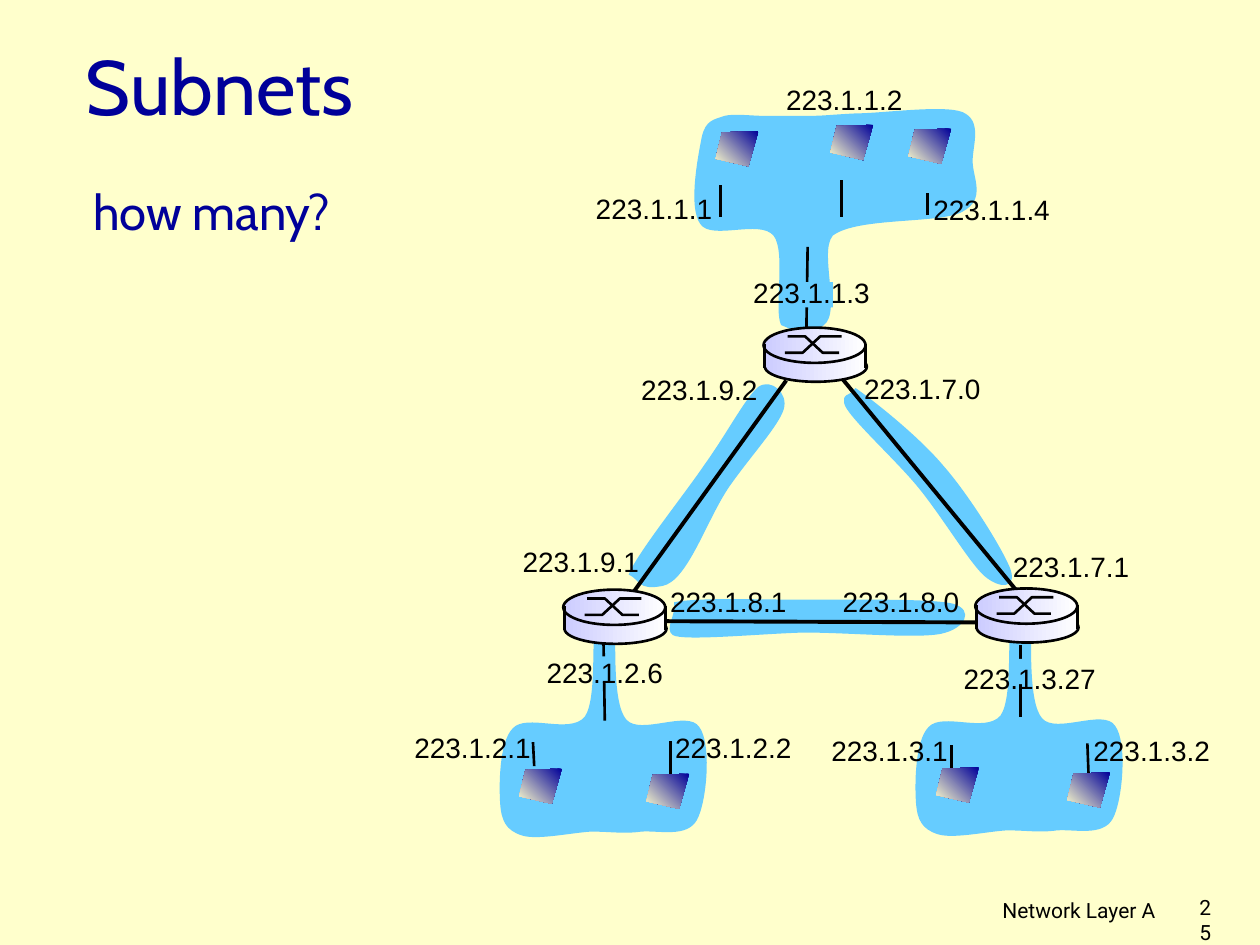
from typing import NamedTuple

from lxml import etree
from pptx import Presentation
from pptx.dml.color import RGBColor
from pptx.enum.shapes import MSO_CONNECTOR, MSO_SHAPE
from pptx.enum.text import MSO_ANCHOR, PP_ALIGN
from pptx.oxml.ns import qn
from pptx.util import Cm, Pt

LINE = MSO_CONNECTOR.STRAIGHT
RECT, OVAL = MSO_SHAPE.RECTANGLE, MSO_SHAPE.OVAL
LEFT, RIGHT = PP_ALIGN.LEFT, PP_ALIGN.RIGHT
TOP, MID = MSO_ANCHOR.TOP, MSO_ANCHOR.MIDDLE

HUES = {"page": "FFFFCC", "net": "66CCFF", "ink": "000000",
        "head": "000099", "steel": "CCCCFF", "white": "FFFFFF"}


class Box(NamedTuple):
    x: float
    y: float
    w: float
    h: float


class Label(NamedTuple):
    text: str
    x: float
    y: float
    w: float = 1.13


class Link(NamedTuple):
    x1: float
    y1: float
    x2: float
    y2: float
    pts: float = 1.5


class Style(NamedTuple):
    name: str
    size: int
    hue: str = "ink"
    side: PP_ALIGN = LEFT
    hang: MSO_ANCHOR = TOP
    wrap: bool = True
    gap: float = 1.0


# Outlines: a start point, then three points per curve
ARM_R = [(6.7, 3.2), (6.71, 3.29), (7.09, 3.63), (7.28, 3.86),
         (7.47, 4.09), (7.69, 4.46), (7.81, 4.57), (7.94, 4.68), (8.07, 4.67), (8.02, 4.52),
         (7.97, 4.38), (7.7, 3.94), (7.49, 3.7), (7.29, 3.46), (6.92, 3.17), (6.79, 3.08),
         (6.73, 3.16), (6.69, 3.11), (6.7, 3.2)]
ARM_B = [(5.34, 5.04), (5.42, 5.09), (6.03, 5.03), (6.38, 5.02),
         (6.74, 5.02), (7.27, 5.07), (7.47, 5.03), (7.66, 4.99), (7.74, 4.84), (7.56, 4.79),
         (7.39, 4.75), (6.78, 4.76), (6.41, 4.76), (6.04, 4.76), (5.53, 4.74), (5.35, 4.78),
         (5.37, 4.88), (5.27, 4.99), (5.34, 5.04)]
ARM_L = [(5.26, 4.65), (5.46, 4.61), (5.61, 4.12), (5.79, 3.86),
         (5.95, 3.63), (6.18, 3.38), (6.22, 3.25), (6.26, 3.12), (6.12, 3), (6.02, 3.07),
         (5.92, 3.15), (5.77, 3.44), (5.59, 3.69), (5.42, 3.94), (5.05, 4.4), (4.99, 4.56),
         (5.08, 4.6), (5.06, 4.69), (5.26, 4.65)]
CLOUD = [(6.5, 2.6), (6.71, 2.55), (6.49, 2.01), (6.61, 1.87),
         (6.81, 1.72), (7.46, 1.78), (7.64, 1.68), (7.83, 1.58), (7.72, 1.41), (7.72, 1.28),
         (7.72, 1.15), (7.8, 0.96), (7.64, 0.89), (7.49, 0.83), (7, 0.9), (6.8, 0.9),
         (6.59, 0.91), (6.54, 0.92), (6.42, 0.92), (6.3, 0.92), (6.18, 0.92), (6.07, 0.92),
         (5.96, 0.92), (5.83, 0.9), (5.75, 0.92), (5.67, 0.95), (5.6, 0.95), (5.57, 1.09),
         (5.54, 1.24), (5.46, 1.65), (5.56, 1.78), (5.65, 1.91), (6.03, 1.74), (6.14, 1.87),
         (6.24, 2), (6.14, 2.46), (6.2, 2.58), (6.3, 2.62), (6.29, 2.64), (6.5, 2.6)]
PLUG = [(4.74, 4.93), (4.68, 4.94), (4.75, 5.54), (4.64, 5.69),
        (4.52, 5.83), (4.18, 5.66), (4.07, 5.78), (3.96, 5.89), (3.96, 6.24), (3.97, 6.38),
        (3.98, 6.52), (4.02, 6.59), (4.14, 6.63), (4.26, 6.67), (4.53, 6.61), (4.69, 6.6),
        (4.85, 6.6), (4.95, 6.62), (5.09, 6.6), (5.23, 6.59), (5.45, 6.65), (5.53, 6.51),
        (5.61, 6.37), (5.65, 5.9), (5.55, 5.77), (5.46, 5.63), (5.08, 5.84), (4.97, 5.71),
        (4.86, 5.58), (4.89, 5.1), (4.88, 4.98), (4.86, 4.85), (4.9, 4.96), (4.88, 4.95),
        (4.86, 4.9), (4.81, 4.92), (4.74, 4.93)]
HOST = [(0.34, 0), (0.05, 0.01), (0, 0.22), (0.26, 0.28), (0.34, 0)]
CROSS = [[(0.17, 0.2), (0.31, 0.2), (0.45, 0.07), (0.62, 0.07)],
         [(0.19, 0.07), (0.33, 0.07), (0.47, 0.2), (0.6, 0.2)]]

LINKS = [Link(7.36, 1.71, 7.36, 1.53), Link(5.72, 1.47, 5.72, 1.72),
         Link(6.41, 1.96, 6.4, 2.61), Link(6.68, 1.72, 6.68, 1.43),
         Link(4.79, 5.1, 4.8, 5.72), Link(4.24, 6.08, 4.23, 5.89),
         Link(5.32, 6.14, 5.32, 5.88), Link(8.1, 5.12, 8.1, 5.69),
         Link(7.55, 6.1, 7.55, 5.91), Link(8.64, 6.16, 8.63, 5.9),
         Link(5.02, 4.71, 6.24, 3.02, 2.25), Link(8.07, 4.69, 6.68, 3, 2.25),
         Link(7.75, 4.94, 5.23, 4.93, 2.25)]
MASKS = [Box(6.27, 2.24, 0.34, 0.2), Box(4.72, 5.21, 0.14, 0.2), Box(8.04, 5.23, 0.14, 0.2)]
LABELS = [Label("223.1.1.1", 4.63, 1.47), Label("223.1.1.2", 6.14, 0.61),
          Label("223.1.1.3", 5.88, 2.14), Label("223.1.1.4", 7.31, 1.48),
          Label("223.1.2.1", 3.19, 5.75), Label("223.1.2.2", 5.26, 5.75),
          Label("223.1.2.6", 4.24, 5.15), Label("223.1.3.1", 6.5, 5.77),
          Label("223.1.3.2", 8.58, 5.77), Label("223.1.3.27", 7.55, 5.2, 1.25),
          Label("223.1.7.0", 6.76, 2.9), Label("223.1.7.1", 7.94, 4.31),
          Label("223.1.8.0", 6.59, 4.59), Label("223.1.8.1", 5.22, 4.59),
          Label("223.1.9.1", 4.05, 4.27), Label("223.1.9.2", 4.99, 2.91)]
ROUTERS = [(6.06, 2.6), (7.74, 4.67), (4.47, 4.68)]
HOSTS = [(7.21, 1.02), (5.68, 1.04), (6.59, 0.99), (8.47, 6.13),
         (7.43, 6.09), (4.12, 6.1), (5.13, 6.14)]


def inch(val: float) -> Cm:
    return Cm(val * 2.54)


def tint(name: str) -> RGBColor:
    return RGBColor.from_string(HUES[name])


def shift(pts: list, dx: float, dy: float) -> list:
    return [(x + dx, y + dy) for x, y in pts]


def paint(shape, hues: tuple = (), turn: int = 0, edge: bool = False) -> None:
    shape.shadow.inherit = False
    if len(hues) == 2:
        shape.fill.gradient()
        shape.fill.gradient_angle = turn
        for stop, hue in zip(shape.fill.gradient_stops, hues):
            stop.color.rgb = tint(hue)
    elif hues:
        shape.fill.solid()
        shape.fill.fore_color.rgb = tint(hues[0])
    else:
        shape.fill.background()
    if edge:
        shape.line.color.rgb = tint("ink")
        shape.line.width = Pt(1.5)
    else:
        shape.line.fill.background()


def trace(shapes, pts: list, close: bool = True):
    ends = [(inch(x), inch(y)) for x, y in pts]
    pen = shapes.build_freeform(*ends[0])
    pen.add_line_segments(ends[1:], close=close)
    return pen.convert_to_shape()


def bend(shape):
    """Join each three line segments into one cubic curve."""
    segs = list(shape._element.iter(qn("a:lnTo")))
    for i in range(0, len(segs) - 2, 3):
        curve = etree.Element(qn("a:cubicBezTo"))
        segs[i].addprevious(curve)
        for seg in segs[i:i + 3]:
            curve.append(seg[0])
            seg.getparent().remove(seg)
    return shape


def join(shapes, link: Link) -> None:
    wire = shapes.add_connector(LINE, *map(inch, link[:4]))
    wire.line.color.rgb = tint("ink")
    wire.line.width = Pt(link.pts)
    etree.SubElement(wire._element.spPr, qn("a:effectLst"))


def write(shape, text: str, style: Style) -> None:
    frame = shape.text_frame
    frame.text = text
    frame.word_wrap = style.wrap
    frame.vertical_anchor = style.hang
    para = frame.paragraphs[0]
    para.alignment, para.line_spacing = style.side, style.gap
    font = para.runs[0].font
    for key, val in {"name": style.name, "size": Pt(style.size)}.items():
        setattr(font, key, val)
    font.color.rgb = tint(style.hue)


def note(shapes, text: str, box: Box, style: Style) -> None:
    write(shapes.add_textbox(*map(inch, box)), text, style)


def router(shapes, x: float, y: float) -> None:
    group = shapes.add_group_shape().shapes
    for kind, box, edge in ((OVAL, Box(0.01, 0.19, 0.81, 0.24), True),
                            (RECT, Box(0.01, 0.16, 0.81, 0.15), False),
                            (OVAL, Box(0, 0, 0.81, 0.28), True)):
        part = group.add_shape(kind, inch(x + box.x), inch(y + box.y), inch(box.w), inch(box.h))
        paint(part, ("steel", "white"), edge=edge)
    for pts in CROSS:
        paint(trace(group, shift(pts, x, y), False), edge=True)
    for side in (0.01, 0.81):
        join(group, Link(x + side, y + 0.13, x + side, y + 0.32))


def main() -> None:
    deck = Presentation()
    deck.slide_width, deck.slide_height = Cm(25.4), Cm(19.05)
    slide = deck.slides.add_slide(deck.slide_layouts[5])
    slide.background.fill.solid()
    slide.background.fill.fore_color.rgb = tint("page")
    shapes = slide.shapes

    # Title, question and footer
    head = shapes.title
    spot = {"left": 0.58, "top": 0.25, "width": 4.05, "height": 0.84}
    for key, val in spot.items():
        setattr(head, key, inch(val))
    write(head, "Subnets", Style("Cabin", 44, "head", hang=MID))
    note(shapes, "how many?", Box(0.64, 1.46, 4.04, 5.08), Style("Cabin", 28, "head", gap=0.85))
    note(shapes, "Network Layer A", Box(6.1, 7.07, 3.17, 0.31), Style("Roboto", 12, side=RIGHT))
    note(shapes, "25", Box(9.42, 7.05, 0.29, 0.3), Style("Roboto", 12))

    # Subnet areas; both lower ones share an outline
    for pts in (ARM_R, ARM_B, ARM_L, CLOUD, PLUG, shift(PLUG, 3.3, -0.01)):
        paint(bend(trace(shapes, pts)), ("net",))

    # Links, with gaps behind the addresses
    for link in LINKS:
        join(shapes, link)
    for box in MASKS:
        paint(shapes.add_shape(RECT, *map(inch, box)), ("net",))
    for tag in LABELS:
        note(shapes, tag.text, Box(tag.x, tag.y, tag.w, 0.37), Style("Arial", 16, wrap=False))

    # Routers and hosts
    for x, y in ROUTERS:
        router(shapes, x, y)
    for x, y in HOSTS:
        paint(trace(shapes, shift(HOST, x, y)), ("head", "page"), 225)

    deck.save("out.pptx")


if __name__ == "__main__":
    main()
